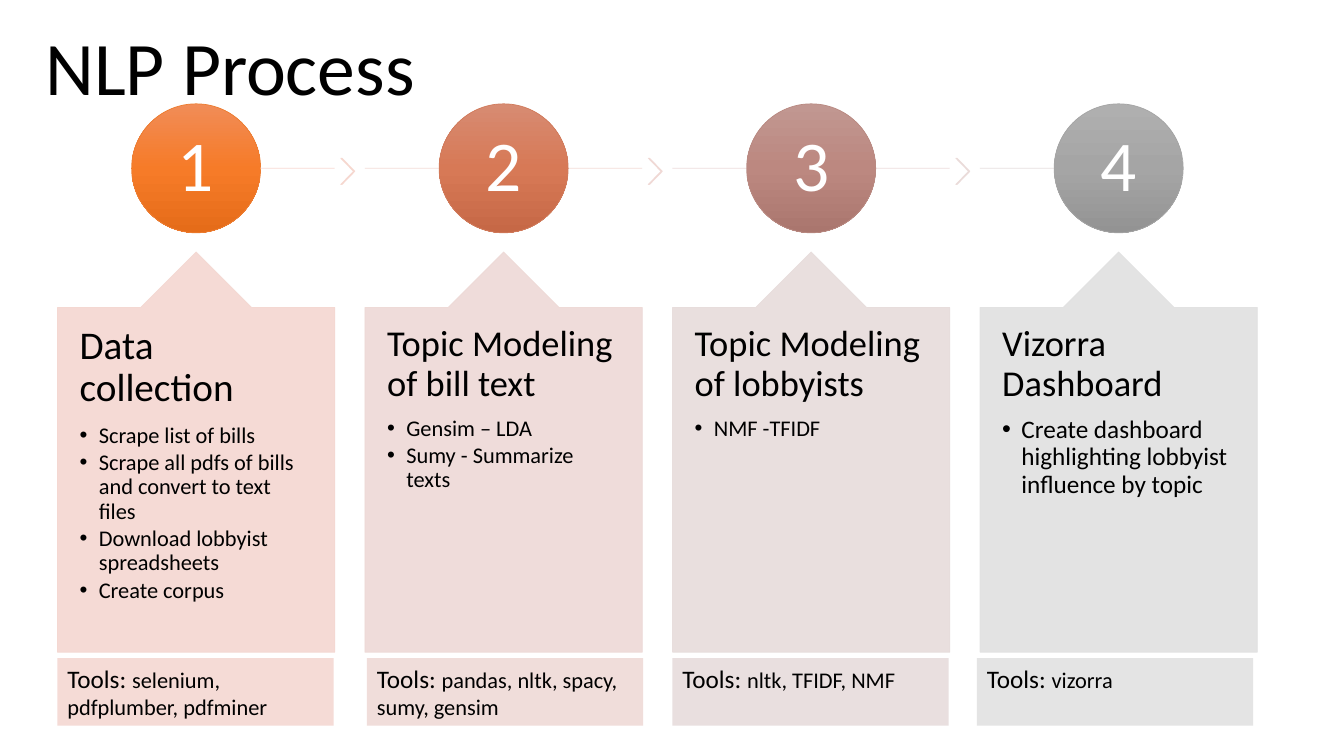
from dataclasses import dataclass

from lxml.etree import SubElement
from pptx import Presentation
from pptx.dml.color import RGBColor
from pptx.enum.shapes import MSO_CONNECTOR, MSO_SHAPE
from pptx.enum.text import MSO_ANCHOR, MSO_AUTO_SIZE, PP_ALIGN
from pptx.oxml.ns import qn
from pptx.util import Emu, Inches, Pt

BLACK = RGBColor(0x00, 0x00, 0x00)
WHITE = RGBColor(0xFF, 0xFF, 0xFF)
FONT = "Calibri"

FIRST_LEFT, COLUMN_PITCH, COLUMN_WIDTH = 0.57, 3.05, 2.75
CIRCLE_TOP, CIRCLE_SIZE = 1.03, 1.28
CALLOUT_TOP, CALLOUT_HEIGHT = 2.5, 3.97
TOOLS_TOP, TOOLS_WIDTH, TOOLS_HEIGHT = 6.53, 2.74, 0.67
CHEVRON_OFFSET, CHEVRON_WIDTH, CHEVRON_HEIGHT = 2.81, 0.14, 0.26


@dataclass
class Step:
    """Wording and colours of one process step."""

    heading: str
    heading_size: int
    tasks: list
    task_size: int
    tools: str
    tools_shift: float
    gradient: tuple
    rim: RGBColor
    track: RGBColor
    chevron: RGBColor
    panel: RGBColor
    tools_fill: RGBColor


def rgb(code):
    """Return the colour for a hex code."""
    return RGBColor.from_string(code)


STEPS = [
    Step("Data collection", 28,
         ["Scrape list of bills", "Scrape all pdfs of bills and convert to text files",
          "Download lobbyist spreadsheets", "Create corpus"], 16,
         "selenium, pdfplumber, pdfminer", 0,
         (rgb("F18C57"), rgb("F67B28"), rgb("E56C19")), rgb("ED7D31"),
         rgb("F8D7CE"), rgb("F6D7CF"), rgb("F4D7D1"), rgb("F5DBD6")),
    Step("Topic Modeling of bill text", 26,
         ["Gensim – LDA", "Sumy - Summarize texts"], 16,
         "pandas, nltk, spacy, sumy, gensim", 0.02,
         (rgb("D78B72"), rgb("D77956"), rgb("C66846")), rgb("D17B5C"),
         rgb("F2D8D3"), rgb("F0D8D4"), rgb("EED9D6"), rgb("F0DDDA")),
    Step("Topic Modeling of lobbyists", 26, ["NMF -TFIDF"], 16,
         "nltk, TFIDF, NMF", 0,
         (rgb("C19791"), rgb("BC8880"), rgb("AA766E")), rgb("B98A82"),
         rgb("ECDAD8"), rgb("EADBD9"), rgb("E7DCDB"), rgb("E9DFDF")),
    Step("Vizorra Dashboard", 26,
         ["Create dashboard highlighting lobbyist influence by topic"], 18,
         "vizorra", -0.03,
         (rgb("AFAFAF"), rgb("A5A5A5"), rgb("939393")), rgb("A5A5A5"),
         rgb("E5DDDD"), rgb("E5DDDD"), rgb("E1E1E1"), rgb("E4E4E4")),
]


def style_run(run, size, color=BLACK):
    """Set the font, size and colour of a run."""
    run.font.name = FONT
    run.font.size = Pt(size)
    run.font.color.rgb = color


def fade(shape):
    """Make the solid fill and line of a shape 90% opaque."""
    for color in shape._element.spPr.iter(qn("a:srgbClr")):
        SubElement(color, qn("a:alpha"), val="90000")


def add_block(slide, kind, left, top, width, height, fill=None, line=None):
    """Add a preset shape, placed in inches, with its fill and thin line."""
    block = slide.shapes.add_shape(
        kind, Inches(left), Inches(top), Inches(width), Inches(height))
    block.shadow.inherit = False
    if fill is not None:
        block.fill.solid()
        block.fill.fore_color.rgb = fill
    if line is None:
        block.line.fill.background()
    else:
        block.line.color.rgb = line
        block.line.width = Pt(0.5)
    return block


def set_insets(frame, side, end):
    """Set the side and end insets of a text frame in inches."""
    frame.margin_left = frame.margin_right = Inches(side)
    frame.margin_top = frame.margin_bottom = Inches(end)


def add_title(slide, wording):
    """Place and format the title placeholder."""
    title = slide.shapes.title
    title.left, title.top = Inches(0.35), Inches(-0.02)
    title.width, title.height = Inches(12.07), Inches(1.45)
    frame = title.text_frame
    frame.text = wording
    frame.auto_size = MSO_AUTO_SIZE.NONE
    frame.vertical_anchor = MSO_ANCHOR.MIDDLE
    heading = frame.paragraphs[0]
    heading.alignment = PP_ALIGN.LEFT
    heading.line_spacing = 0.9
    style_run(heading.runs[0], 54)


def add_track(slide, step, left, is_first, is_last):
    """Draw the line through a column and the chevron after it."""
    center = left + COLUMN_WIDTH / 2
    start = center if is_first else left
    end = center if is_last else left + COLUMN_WIDTH
    middle = CIRCLE_TOP + CIRCLE_SIZE / 2
    track = slide.shapes.add_connector(
        MSO_CONNECTOR.STRAIGHT, Inches(start), Inches(middle), Inches(end), Inches(middle))
    track.line.color.rgb = step.track
    track.line.width = Pt(0.5)
    fade(track)
    SubElement(track._element.spPr, qn("a:effectLst"))
    if not is_last:
        chevron = add_block(
            slide, MSO_SHAPE.CHEVRON, left + CHEVRON_OFFSET, middle + 0.03 - CHEVRON_HEIGHT / 2,
            CHEVRON_WIDTH, CHEVRON_HEIGHT, step.chevron, step.chevron)
        chevron.adjustments[0] = 0.9
        fade(chevron)


def add_number(slide, step, number, left):
    """Draw the numbered circle centred over a column."""
    circle = add_block(
        slide, MSO_SHAPE.OVAL, left + (COLUMN_WIDTH - CIRCLE_SIZE) / 2, CIRCLE_TOP,
        CIRCLE_SIZE, CIRCLE_SIZE, line=step.rim)
    circle.fill.gradient()
    circle.fill.gradient_angle = 270
    stops = circle._element.spPr.find(qn("a:gradFill")).find(qn("a:gsLst"))
    stops.clear()
    for index, color in enumerate(step.gradient):
        stop = SubElement(stops, qn("a:gs"), pos=str(index * 50000))
        SubElement(stop, qn("a:srgbClr"), val=str(color))
    frame = circle.text_frame
    set_insets(frame, 0.05, 0.05)
    frame.vertical_anchor = MSO_ANCHOR.MIDDLE
    frame.text = str(number)
    digit = frame.paragraphs[0]
    digit.alignment = PP_ALIGN.CENTER
    digit.line_spacing = 0.9
    style_run(digit.runs[0], 51, WHITE)


def add_callout(slide, step, left):
    """Draw the pointed panel with its heading and bulleted tasks."""
    callout = add_block(slide, MSO_SHAPE.UP_ARROW_CALLOUT, left, CALLOUT_TOP,
                        COLUMN_WIDTH, CALLOUT_HEIGHT, step.panel, step.panel)
    fade(callout)
    for index, share in enumerate((0.5, 0.2, 0.2, 1)):
        callout.adjustments[index] = share
    frame = callout.text_frame
    set_insets(frame, 0.22, 0.18)
    frame.vertical_anchor = MSO_ANCHOR.TOP
    frame.text = "\n".join([step.heading, *step.tasks])
    for index, entry in enumerate(frame.paragraphs):
        size, gap = (step.task_size, 0.15) if index else (step.heading_size, 0.35)
        entry.alignment = PP_ALIGN.LEFT
        entry.line_spacing = 0.9
        entry.space_after = Pt(size * gap)
        style_run(entry.runs[0], size)
        if index:
            entry.level = 1
            properties = entry._p.get_or_add_pPr()
            properties.set("marL", str(Inches(0.19)))
            properties.set("indent", str(Emu(-Inches(0.19))))
            SubElement(properties, qn("a:buFont"), typeface="Arial")
            SubElement(properties, qn("a:buChar"), char="•")


def add_tools(slide, step, left):
    """Draw the strip that lists the tools of a step."""
    strip = add_block(slide, MSO_SHAPE.RECTANGLE, left + step.tools_shift, TOOLS_TOP,
                      TOOLS_WIDTH, TOOLS_HEIGHT, step.tools_fill)
    frame = strip.text_frame
    frame.vertical_anchor = MSO_ANCHOR.TOP
    frame.text = "Tools: "
    listing = frame.paragraphs[0]
    listing.alignment = PP_ALIGN.LEFT
    listing.add_run().text = step.tools
    for run, size in zip(listing.runs, (18, 16)):
        style_run(run, size)


def main():
    """Build the process slide and save it."""
    deck = Presentation()
    deck.slide_width, deck.slide_height = Inches(13.33), Inches(7.5)
    slide = deck.slides.add_slide(deck.slide_layouts[5])
    add_title(slide, "NLP Process")
    for index, step in enumerate(STEPS):
        left = FIRST_LEFT + index * COLUMN_PITCH
        add_track(slide, step, left, index == 0, index == len(STEPS) - 1)
        add_number(slide, step, index + 1, left)
        add_callout(slide, step, left)
        add_tools(slide, step, left)
    deck.save("out.pptx")


if __name__ == "__main__":
    main()
